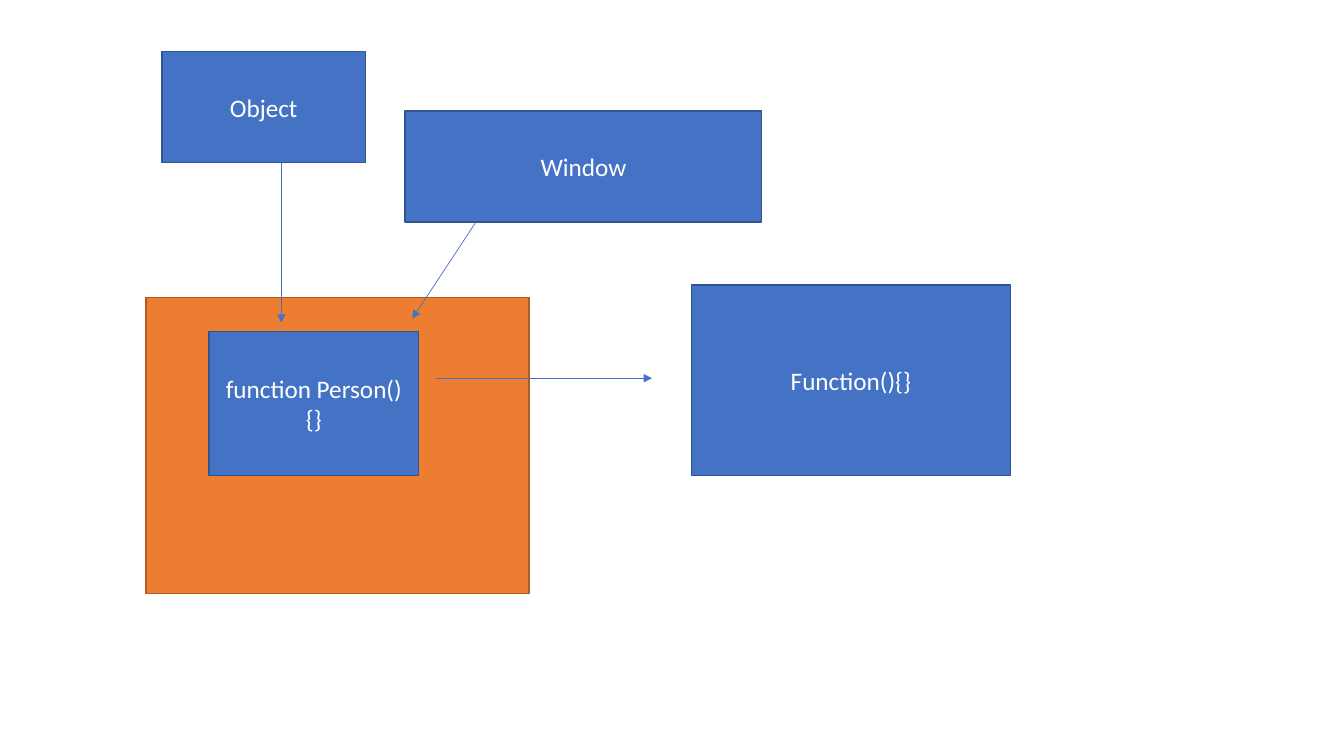
import pptx
import pptx.dml.color
import pptx.enum.shapes
import pptx.enum.text
import pptx.oxml.ns
import pptx.util
from lxml import etree
from pptx.util import Cm

BLUE = pptx.dml.color.RGBColor(0x44, 0x72, 0xC4)
DARK_BLUE = pptx.dml.color.RGBColor(0x32, 0x54, 0x91)
ORANGE = pptx.dml.color.RGBColor(0xED, 0x7D, 0x31)
DARK_ORANGE = pptx.dml.color.RGBColor(0xAF, 0x5C, 0x24)
WHITE = pptx.dml.color.RGBColor(0xFF, 0xFF, 0xFF)


def add_box(slide, left, top, width, height, label="", fill=BLUE, outline=DARK_BLUE):
    box = slide.shapes.add_shape(
        pptx.enum.shapes.MSO_SHAPE.RECTANGLE,
        Cm(left), Cm(top), Cm(width), Cm(height))
    box.shadow.inherit = False
    box.fill.solid()
    box.fill.fore_color.rgb = fill
    box.line.color.rgb = outline
    box.line.width = pptx.util.Pt(1)
    if label:
        frame = box.text_frame
        frame.text = label
        frame.word_wrap = True
        frame.vertical_anchor = pptx.enum.text.MSO_ANCHOR.MIDDLE
        paragraph = frame.paragraphs[0]
        paragraph.alignment = pptx.enum.text.PP_ALIGN.CENTER
        font = paragraph.runs[0].font
        font.name = "Calibri"
        font.size = pptx.util.Pt(18)
        font.color.rgb = WHITE


def add_arrow(slide, start_x, start_y, end_x, end_y):
    arrow = slide.shapes.add_connector(
        pptx.enum.shapes.MSO_CONNECTOR.STRAIGHT,
        Cm(start_x), Cm(start_y), Cm(end_x), Cm(end_y))
    arrow.line.color.rgb = BLUE
    arrow.line.width = pptx.util.Pt(0.5)
    qn = pptx.oxml.ns.qn
    properties = arrow._element.spPr
    etree.SubElement(properties.find(qn("a:ln")), qn("a:tailEnd"), type="triangle")
    etree.SubElement(properties, qn("a:effectLst"))


def main():
    deck = pptx.Presentation()
    deck.slide_width, deck.slide_height = Cm(33.87), Cm(19.05)
    slide = deck.slides.add_slide(deck.slide_layouts[6])

    add_box(slide, 3.68, 7.49, 9.65, 7.47, fill=ORANGE, outline=DARK_ORANGE)
    add_box(slide, 4.08, 1.3, 5.13, 2.8, "Object")
    add_arrow(slide, 7.09, 4.1, 7.09, 8.13)
    add_box(slide, 5.27, 8.36, 5.28, 3.62, "function Person(){}")
    add_arrow(slide, 11, 9.53, 16.43, 9.53)
    add_box(slide, 17.43, 7.18, 8.03, 4.8, "Function(){}")
    # The arrow starts beneath the Window box, so it is drawn first.
    add_arrow(slide, 12.8, 4.37, 10.39, 8.03)
    add_box(slide, 10.21, 2.8, 8.99, 2.8, "Window")

    deck.save("out.pptx")


if __name__ == "__main__":
    main()
